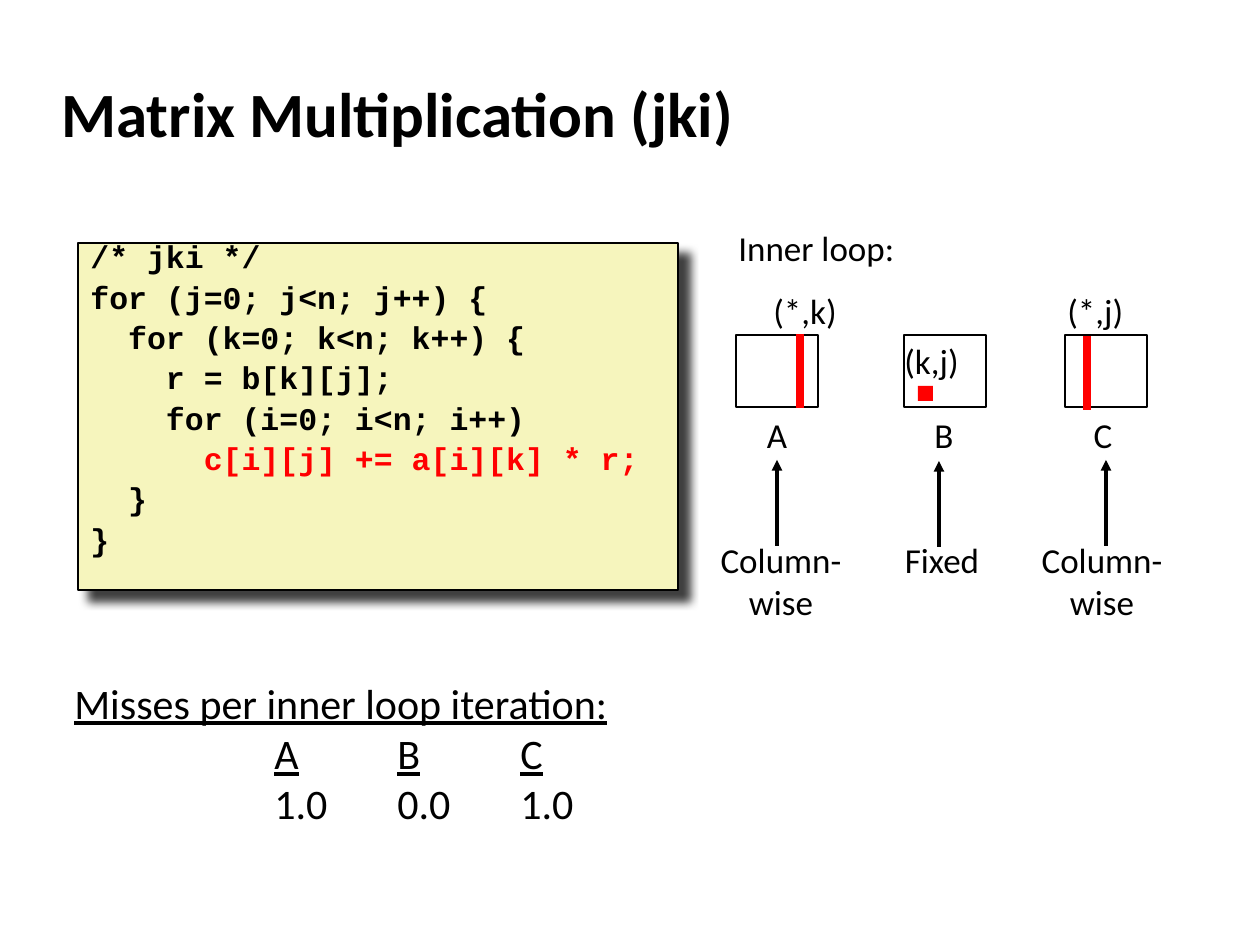
"""Builds the slide on cache misses of jki matrix multiplication."""
from dataclasses import dataclass

from lxml.etree import SubElement
from pptx import Presentation
from pptx.dml.color import RGBColor
from pptx.enum.shapes import MSO_CONNECTOR, MSO_SHAPE
from pptx.enum.text import MSO_ANCHOR, PP_ALIGN
from pptx.oxml import parse_xml
from pptx.oxml.ns import nsdecls, qn
from pptx.util import Emu, Pt

PIXEL = 914400 // 126
BLACK, RED, WHITE, CREAM = "000000", "FF0000", "FFFFFF", "F6F5BD"
LABEL = {"name": "Calibri", "size": Pt(20)}
TITLE = {"name": "Calibri", "size": Pt(36), "bold": True}
CODE = {"name": "Courier New", "size": Pt(18), "bold": True}
MISSES = {"name": "Calibri", "size": Pt(24)}
CODE_SPACING = {"line_spacing": 0.65, "space_before": Pt(9), "alignment": PP_ALIGN.LEFT}


@dataclass
class Box:
    """A rectangle in pixels."""
    left: int
    top: int
    width: int
    height: int

    def emu(self) -> list[Emu]:
        return [px(n) for n in (self.left, self.top, self.width, self.height)]


@dataclass
class Label:
    """Lines of text inside a box."""
    box: Box
    lines: list[str]
    align: PP_ALIGN = PP_ALIGN.LEFT


@dataclass
class Stroke:
    """A vertical line in pixels."""
    x: int
    start: int
    end: int
    color: str
    points: float
    arrow: bool = False


def px(pixels: int) -> Emu:
    return Emu(pixels * PIXEL)


def rgb(color: str) -> RGBColor:
    return RGBColor.from_string(color)


def apply(target, values: dict) -> None:
    for key, value in values.items():
        setattr(target, key, value)


def add_run(paragraph, text: str, style: dict, color: str = BLACK) -> None:
    run = paragraph.add_run()
    run.text = text
    apply(run.font, style)
    run.font.color.rgb = rgb(color)


def next_paragraph(frame, index: int):
    return frame.add_paragraph() if index else frame.paragraphs[0]


def add_label(slide, label: Label, style: dict, wrap: bool = False):
    frame = slide.shapes.add_textbox(*label.box.emu()).text_frame
    frame.word_wrap = wrap
    for index, line in enumerate(label.lines):
        paragraph = next_paragraph(frame, index)
        paragraph.alignment = label.align
        add_run(paragraph, line, style)
    return frame


def add_rectangle(slide, box: Box, fill: str, outline: str | None = BLACK):
    rectangle = slide.shapes.add_shape(MSO_SHAPE.RECTANGLE, *box.emu())
    rectangle.shadow.inherit = False
    rectangle.fill.solid()
    rectangle.fill.fore_color.rgb = rgb(fill)
    if outline:
        rectangle.line.color.rgb = rgb(outline)
        rectangle.line.width = Pt(1)
    else:
        rectangle.line.fill.background()
    return rectangle


def add_stroke(slide, stroke: Stroke) -> None:
    connector = slide.shapes.add_connector(
        MSO_CONNECTOR.STRAIGHT, px(stroke.x), px(stroke.start), px(stroke.x), px(stroke.end))
    connector.line.color.rgb = rgb(stroke.color)
    connector.line.width = Pt(stroke.points)
    if stroke.arrow:
        SubElement(connector.line._get_or_add_ln(), qn("a:tailEnd"), type="triangle")
    SubElement(connector._element.spPr, qn("a:effectLst"))


def add_code(slide, box: Box, lines: list[str]) -> None:
    panel = add_rectangle(slide, box, CREAM)
    panel._element.spPr.find(qn("a:effectLst")).append(parse_xml(
        f'<a:outerShdw {nsdecls("a")} blurRad="63500" dist="107950" dir="2700000" '
        'algn="tl" rotWithShape="0"><a:srgbClr val="000000"><a:alpha val="75000"/>'
        '</a:srgbClr></a:outerShdw>'))
    frame = panel.text_frame
    apply(frame, {"word_wrap": True, "vertical_anchor": MSO_ANCHOR.TOP})
    for index, line in enumerate(lines):
        paragraph = next_paragraph(frame, index)
        apply(paragraph, CODE_SPACING)
        add_run(paragraph, line, CODE, RED if "+=" in line else BLACK)


def add_misses(slide, box: Box, heading: str, rates: dict[str, str]) -> None:
    underlined = MISSES | {"underline": True}
    frame = add_label(slide, Label(box, [heading]), underlined, wrap=True)
    for cells, style in ((rates.keys(), underlined), (rates.values(), MISSES)):
        paragraph = frame.add_paragraph()
        stops = SubElement(paragraph._p.get_or_add_pPr(), qn("a:tabLst"))
        for column, cell in enumerate(cells):
            SubElement(stops, qn("a:tab"), pos=str(px(200 + 123 * column)), algn="l")
            add_run(paragraph, "\t", MISSES)
            add_run(paragraph, cell, style)


def main() -> None:
    deck = Presentation()
    deck.slide_width, deck.slide_height = px(1260), px(945)
    slide = deck.slides.add_slide(deck.slide_layouts[6])

    title = add_label(slide, Label(Box(49, 60, 1046, 105), ["Matrix Multiplication (jki)"]),
                      TITLE, wrap=True)
    title.vertical_anchor = MSO_ANCHOR.MIDDLE
    add_code(slide, Box(78, 243, 600, 347), [
        "/* jki */",
        "for (j=0; j<n; j++) {",
        "  for (k=0; k<n; k++) {",
        "    r = b[k][j];",
        "    for (i=0; i<n; i++)",
        "      c[i][j] += a[i][k] * r;",
        "  }",
        "}",
    ])

    for left in (736, 904, 1065):
        add_rectangle(slide, Box(left, 335, 82, 72), WHITE)
    add_rectangle(slide, Box(918, 386, 15, 15), RED, outline=None)

    center = PP_ALIGN.CENTER
    for label in (
        Label(Box(726, 220, 190, 54), ["Inner loop:"]),
        Label(Box(761, 283, 96, 54), ["(*,k)"]),
        Label(Box(892, 333, 96, 54), ["(k,j)"]),
        Label(Box(1055, 283, 96, 54), ["(*,j)"]),
        Label(Box(747, 407, 60, 54), ["A"], center),
        Label(Box(914, 407, 60, 54), ["B"], center),
        Label(Box(1073, 407, 60, 54), ["C"], center),
        Label(Box(701, 532, 160, 97), ["Column-", "wise"], center),
        Label(Box(882, 532, 120, 54), ["Fixed"], center),
        Label(Box(1022, 532, 160, 97), ["Column-", "wise"], center),
    ):
        add_label(slide, label, LABEL)

    for stroke in (
        Stroke(800, 408, 334, RED, 4.5),
        Stroke(1087, 410, 336, RED, 4.5),
        Stroke(777, 546, 460, BLACK, 2, arrow=True),
        Stroke(939, 547, 461, BLACK, 2, arrow=True),
        Stroke(1106, 546, 460, BLACK, 2, arrow=True),
    ):
        add_stroke(slide, stroke)

    add_misses(slide, Box(62, 671, 757, 169), "Misses per inner loop iteration:",
               {"A": "1.0", "B": "0.0", "C": "1.0"})
    deck.save("out.pptx")


main()
